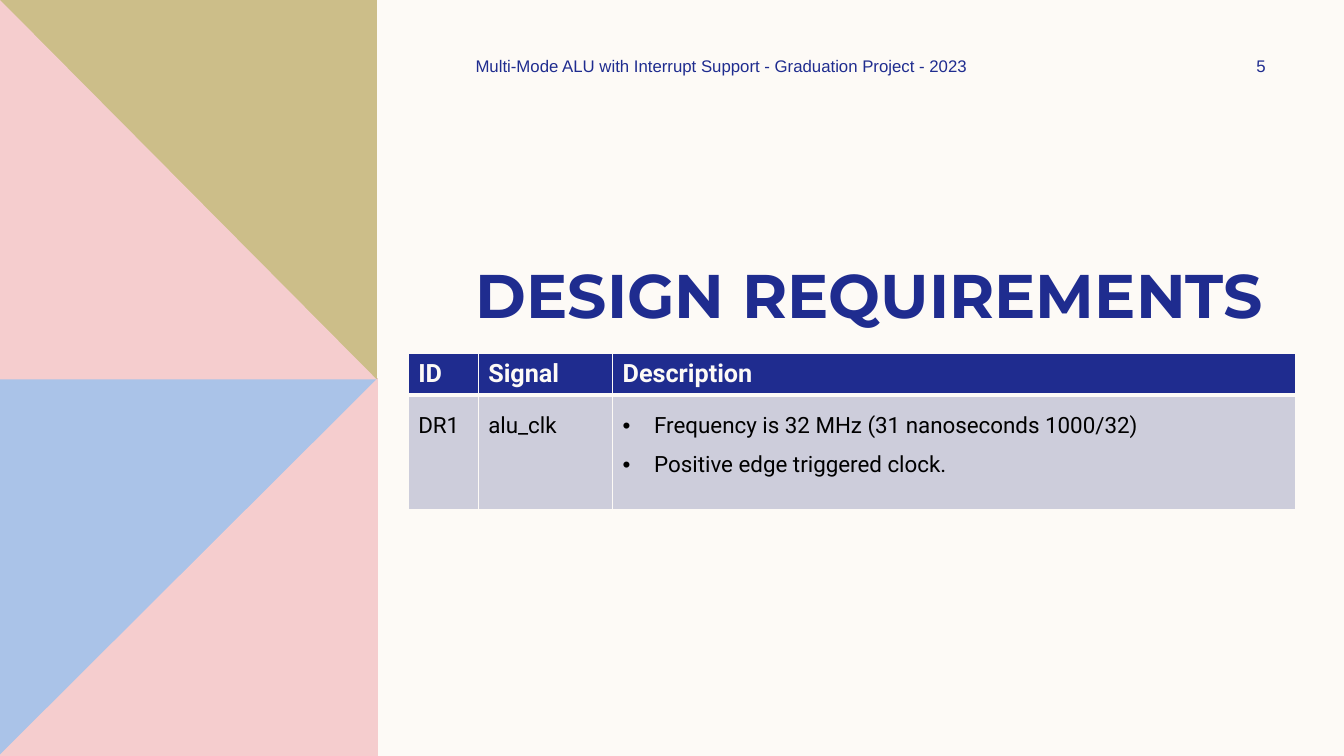
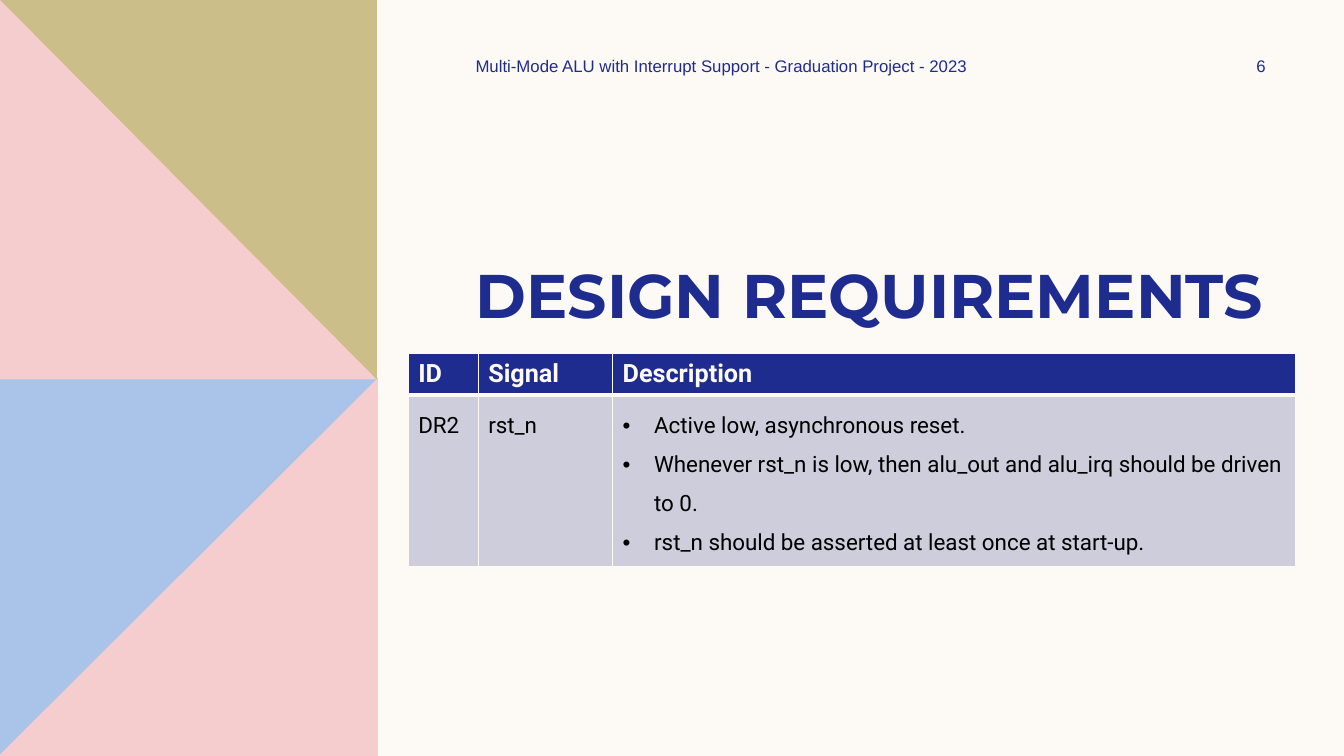
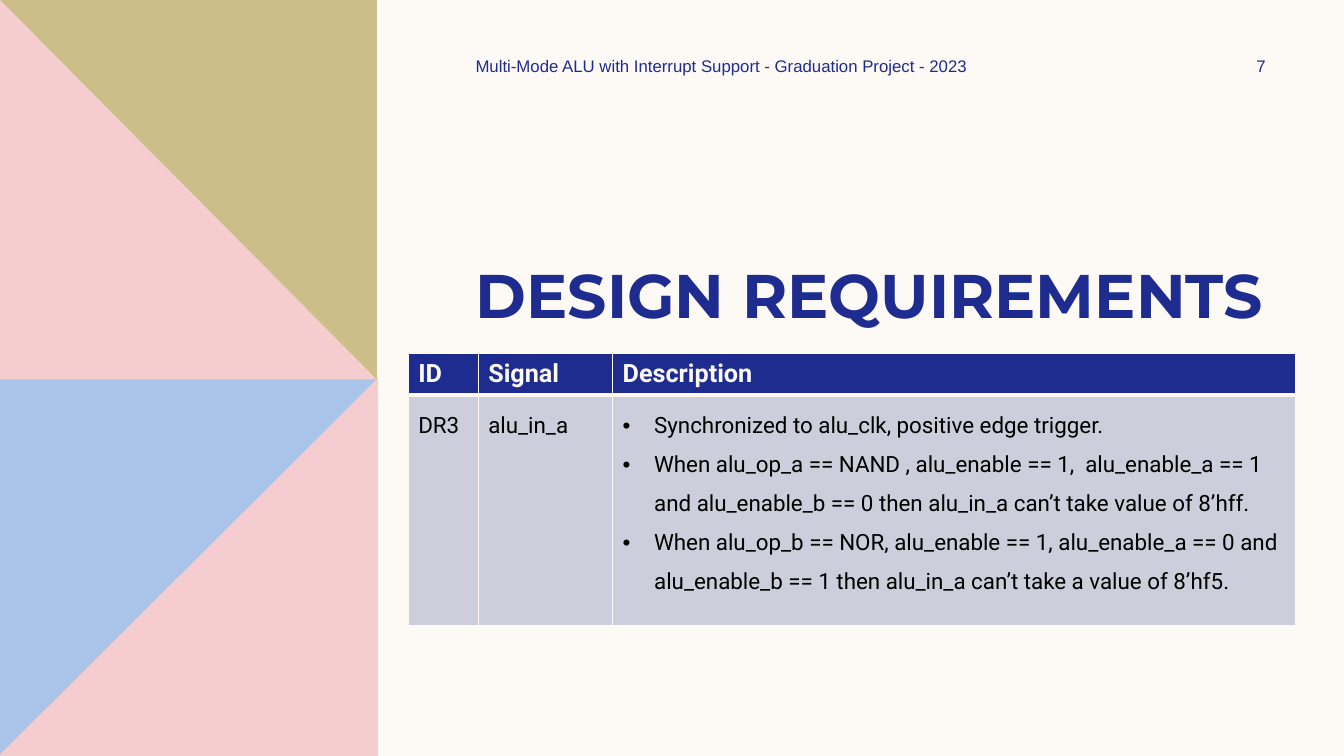
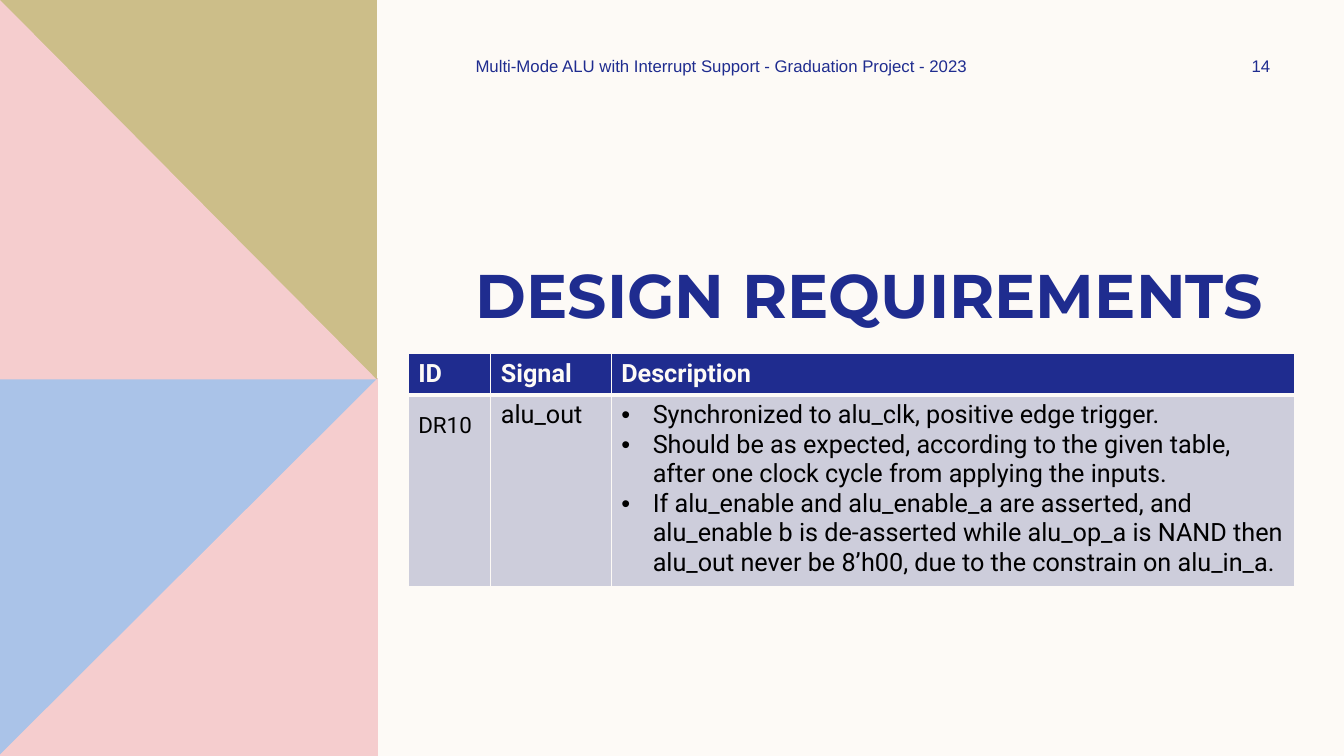
"""Build the design requirement slides of the Multi-Mode ALU project."""
import dataclasses

import pptx
import pptx.dml.color
import pptx.enum.text
import pptx.oxml
import pptx.oxml.ns
import pptx.util

Pt = pptx.util.Pt
ALIGN = pptx.enum.text.PP_ALIGN
ANCHOR = pptx.enum.text.MSO_ANCHOR


@dataclasses.dataclass(frozen=True)
class Theme:
    paper: str = "FDFAF6"
    navy: str = "1F2C8F"
    blue: str = "AAC3E8"
    pink: str = "F5CDCE"
    olive: str = "CCBE89"
    grey: str = "CDCDDB"
    black: str = "000000"
    title_font: str = "Montserrat"
    small_font: str = "Arial"
    table_font: str = "Roboto"
    title_size: int = 44
    small_size: int = 12
    head_size: int = 18
    body_size: int = 16


T = Theme()
TITLE = "DESIGN REQUIREMENTS"
FOOTER = "Multi-Mode ALU with Interrupt Support - Graduation Project - 2023"
HEADINGS = ("ID", "Signal", "Description")
TABLE_LEFT, TABLE_TOP, HEAD_HEIGHT = 291.6, 252.7, 29.5
BULLET_INDENT = 22.5
PANELS = (
    (T.blue, [(0, 270), (270, 270), (270, 540), (0, 540)]),
    (T.pink, [(270, 270), (270, 540), (0, 540), (0, 539)]),
    (T.olive, [(0, 0), (269, 0), (269, 271), (0, 271)]),
    (T.pink, [(0, 0), (269, 271), (0, 271)]),
)


@dataclasses.dataclass(frozen=True)
class Requirement:
    number: int
    ident: str
    signal: str
    points: tuple
    height: float
    widths: tuple = (50, 96, 488)
    size: int = T.body_size
    spacing: float = 1.5


REQUIREMENTS = (
    Requirement(5, "DR1", "alu_clk", (
        "Frequency is 32 MHz (31 nanoseconds 1000/32)",
        "Positive edge triggered clock.",
    ), 81.5),
    Requirement(6, "DR2", "rst_n", (
        "Active low, asynchronous reset.",
        "Whenever rst_n is low, then alu_out and alu_irq should be driven to 0.",
        "rst_n should be asserted at least once at start-up.",
    ), 118),
    Requirement(7, "DR3", "alu_in_a", (
        "Synchronized to alu_clk, positive edge trigger.",
        "When alu_op_a == NAND , alu_enable == 1,  alu_enable_a == 1 and "
        "alu_enable_b == 0 then alu_in_a can’t take value of 8’hff.",
        "When alu_op_b == NOR, alu_enable == 1, alu_enable_a == 0 and "
        "alu_enable_b == 1 then alu_in_a can’t take a value of 8’hf5.",
    ), 165),
    Requirement(14, "DR10", "alu_out", (
        "Synchronized to alu_clk, positive edge trigger.",
        "Should be as expected, according to the given table, after one clock "
        "cycle from applying the inputs.",
        "If alu_enable and alu_enable_a are asserted, and alu_enable b is "
        "de-asserted while alu_op_a is NAND then alu_out never be 8’h00, due "
        "to the constrain on alu_in_a.",
    ), 133, widths=(59, 86, 488), size=T.head_size, spacing=1.0),
)


def rgb(color):
    """Return the colour object for a hex string."""
    return pptx.dml.color.RGBColor.from_string(color)


def paint(obj, color):
    """Give a shape, cell or background a solid fill."""
    obj.fill.solid()
    obj.fill.fore_color.rgb = rgb(color)


def style(p, font, size, color, bold=False, align=ALIGN.LEFT):
    """Format a paragraph and its runs."""
    p.alignment = align
    for r in p.runs:
        r.font.name, r.font.size, r.font.bold = font, Pt(size), bold
        r.font.color.rgb = rgb(color)


def add_panel(slide, color, points):
    """Draw a filled polygon and return it."""
    builder = slide.shapes.build_freeform(*points[0], scale=Pt(1))
    builder.add_line_segments(points[1:], close=True)
    sp = builder.convert_to_shape()
    paint(sp, color)
    sp.line.fill.background()
    sp.shadow.inherit = False
    return sp


def prepare_layout(layout):
    """Set the background and title place shared by all slides."""
    paint(layout.background, T.paper)
    for sp in list(layout.placeholders):
        if sp.placeholder_format.idx:
            sp.element.getparent().remove(sp.element)
    title = layout.placeholders[0]
    title.left, title.top, title.width, title.height = map(Pt, (332.6, 179.3, 634.3, 60.5))


def add_panels(slide):
    """Place the coloured panels on the layout of the slide."""
    tree = slide.slide_layout.shapes.element
    for i, (color, points) in enumerate(PANELS):
        tree.insert(2 + i, add_panel(slide, color, points).element)


def set_title(slide):
    """Fill and format the title placeholder."""
    tf = slide.shapes.title.text_frame
    tf.text = TITLE
    tf.auto_size = pptx.enum.text.MSO_AUTO_SIZE.NONE
    tf.vertical_anchor = ANCHOR.BOTTOM
    style(tf.paragraphs[0], T.title_font, T.title_size, T.navy, True)


def add_label(slide, text, left, width, align=ALIGN.LEFT):
    """Add a small line of text at the top of the slide."""
    sp = slide.shapes.add_textbox(Pt(left), Pt(36), Pt(width), Pt(21.6))
    tf = sp.text_frame
    tf.word_wrap = True
    tf.vertical_anchor = ANCHOR.MIDDLE
    tf.text = text
    style(tf.paragraphs[0], T.small_font, T.small_size, T.navy, align=align)


def set_borders(cell, top, bottom):
    """Give a cell its light borders."""
    tc_pr = cell._tc.get_or_add_tcPr()
    for i, (side, width) in enumerate((("L", 1), ("R", 1), ("T", top), ("B", bottom))):
        tc_pr.insert(i, pptx.oxml.parse_xml(
            f'<a:ln{side} {pptx.oxml.ns.nsdecls("a")} w="{Pt(width)}"><a:solidFill>'
            f'<a:srgbClr val="{T.paper}"/></a:solidFill></a:ln{side}>'))


def add_bullet(p):
    """Give a paragraph a hanging bullet."""
    p_pr = p._p.get_or_add_pPr()
    p_pr.set("marL", str(Pt(BULLET_INDENT)))
    p_pr.set("indent", str(-Pt(BULLET_INDENT)))
    for tag, name, value in (("buFont", "typeface", T.small_font), ("buChar", "char", "•")):
        p_pr.append(pptx.oxml.parse_xml(
            f'<a:{tag} {pptx.oxml.ns.nsdecls("a")} {name}="{value}"/>'))


def fill_head(cell, text):
    """Fill a heading cell."""
    cell.text = text
    paint(cell, T.navy)
    set_borders(cell, 1, 3)
    style(cell.text_frame.paragraphs[0], T.table_font, T.head_size, T.paper, True)


def fill_body(cell, lines, size, spacing, bullets=False):
    """Fill a body cell with one paragraph a line."""
    cell.text = "\n".join(lines)
    paint(cell, T.grey)
    set_borders(cell, 3, 1)
    for p in cell.text_frame.paragraphs:
        p.line_spacing = spacing
        style(p, T.table_font, size, T.black)
        if bullets:
            add_bullet(p)


def add_requirement_table(slide, req):
    """Add the table that describes one requirement."""
    heights = (HEAD_HEIGHT, req.height)
    table = slide.shapes.add_table(
        2, len(HEADINGS), Pt(TABLE_LEFT), Pt(TABLE_TOP),
        Pt(sum(req.widths)), Pt(sum(heights))).table
    for row, height in zip(table.rows, heights):
        row.height = Pt(height)
    for i, (heading, width) in enumerate(zip(HEADINGS, req.widths)):
        table.columns[i].width = Pt(width)
        fill_head(table.cell(0, i), heading)
    fill_body(table.cell(1, 0), [req.ident], T.body_size, 1.5)
    fill_body(table.cell(1, 1), [req.signal], req.size, req.spacing)
    fill_body(table.cell(1, 2), req.points, req.size, req.spacing, bullets=True)


def main():
    """Build and save the presentation."""
    prs = pptx.Presentation()
    prs.slide_width, prs.slide_height = Pt(960), Pt(540)
    layout = prs.slide_layouts[5]
    prepare_layout(layout)
    for i, req in enumerate(REQUIREMENTS):
        s = prs.slides.add_slide(layout)
        if i == 0:
            add_panels(s)
        set_title(s)
        add_label(s, FOOTER, 332.6, 432)
        add_label(s, str(req.number), 861.8, 77.8, ALIGN.CENTER)
        add_requirement_table(s, req)
    prs.save("out.pptx")


if __name__ == "__main__":
    main()
